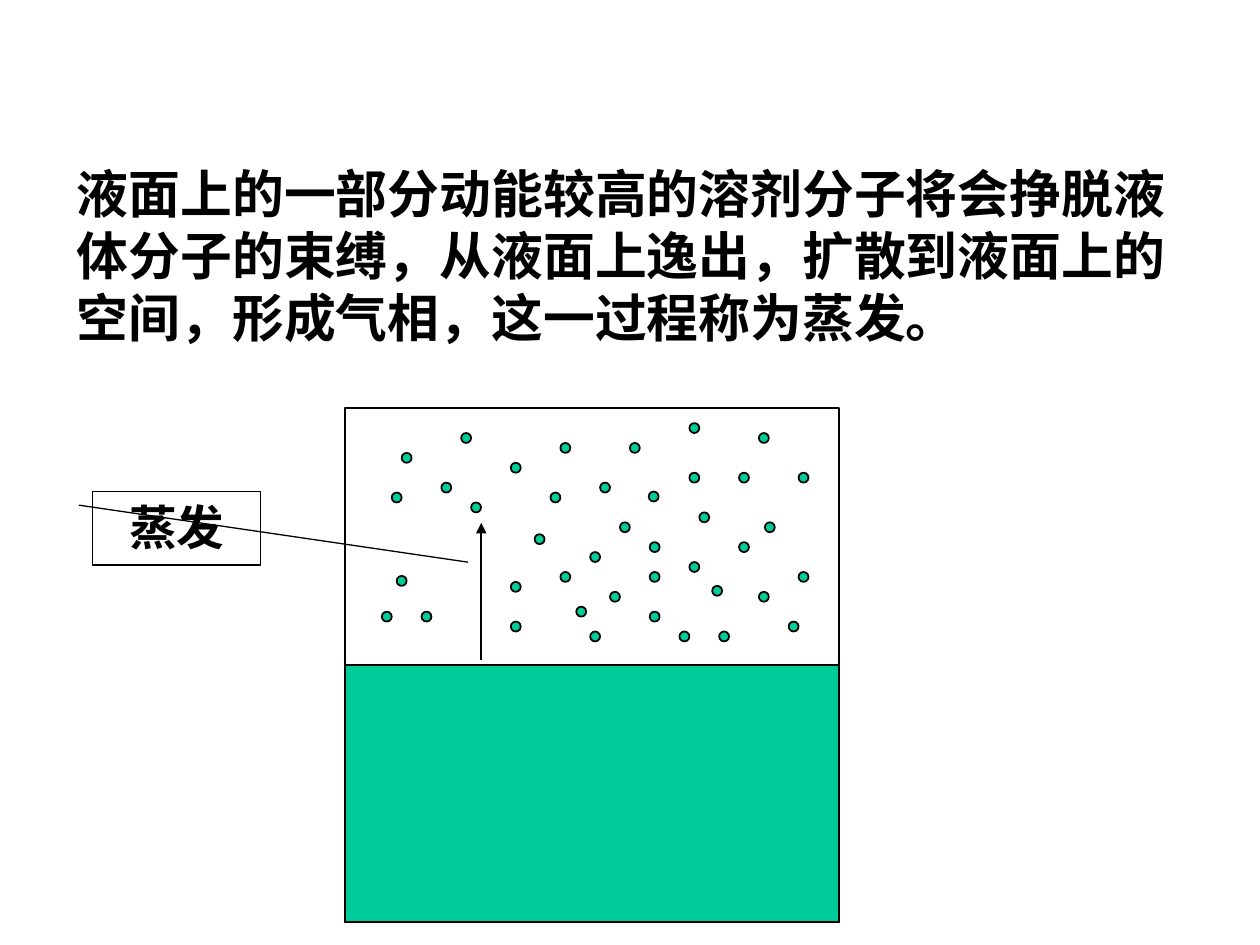
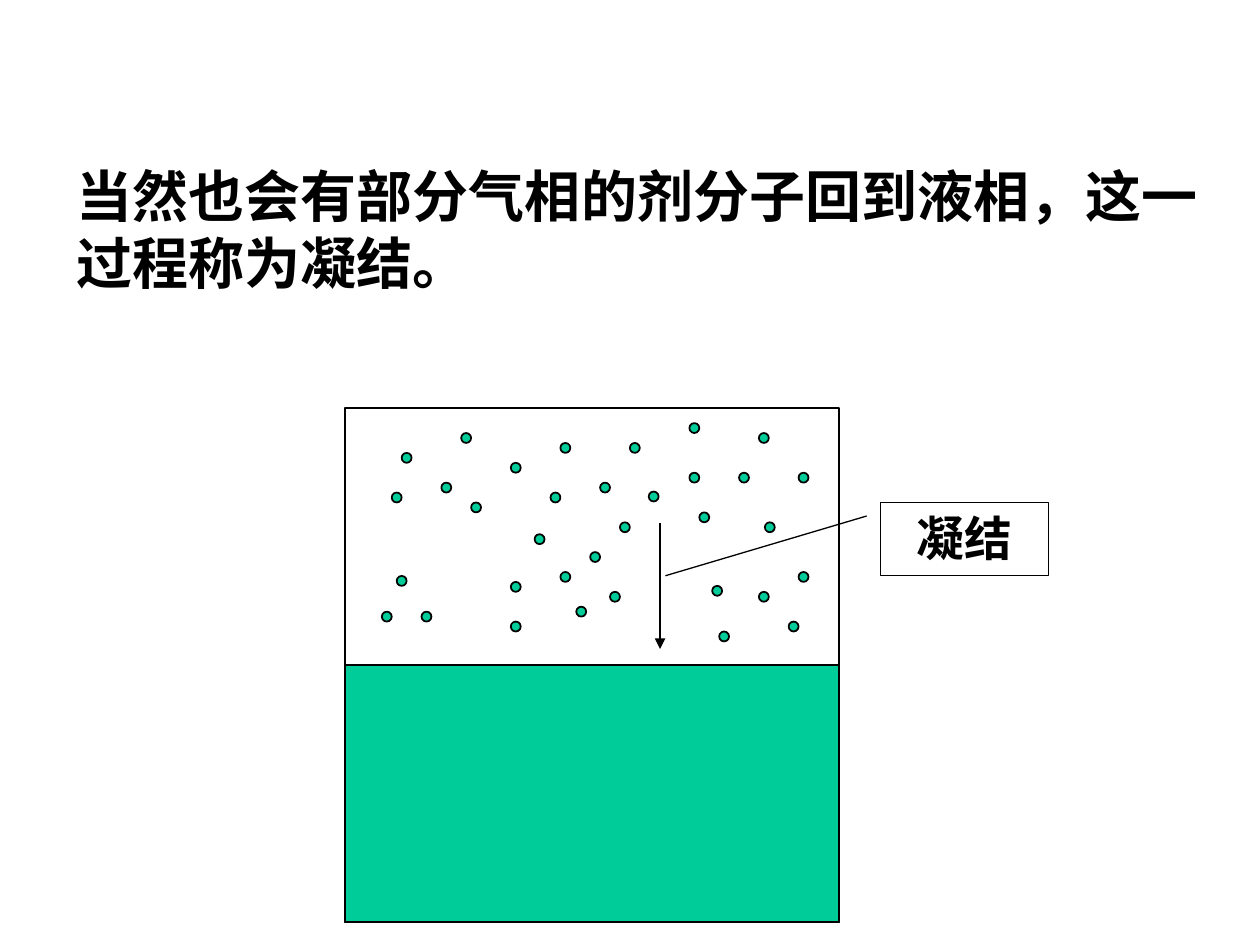
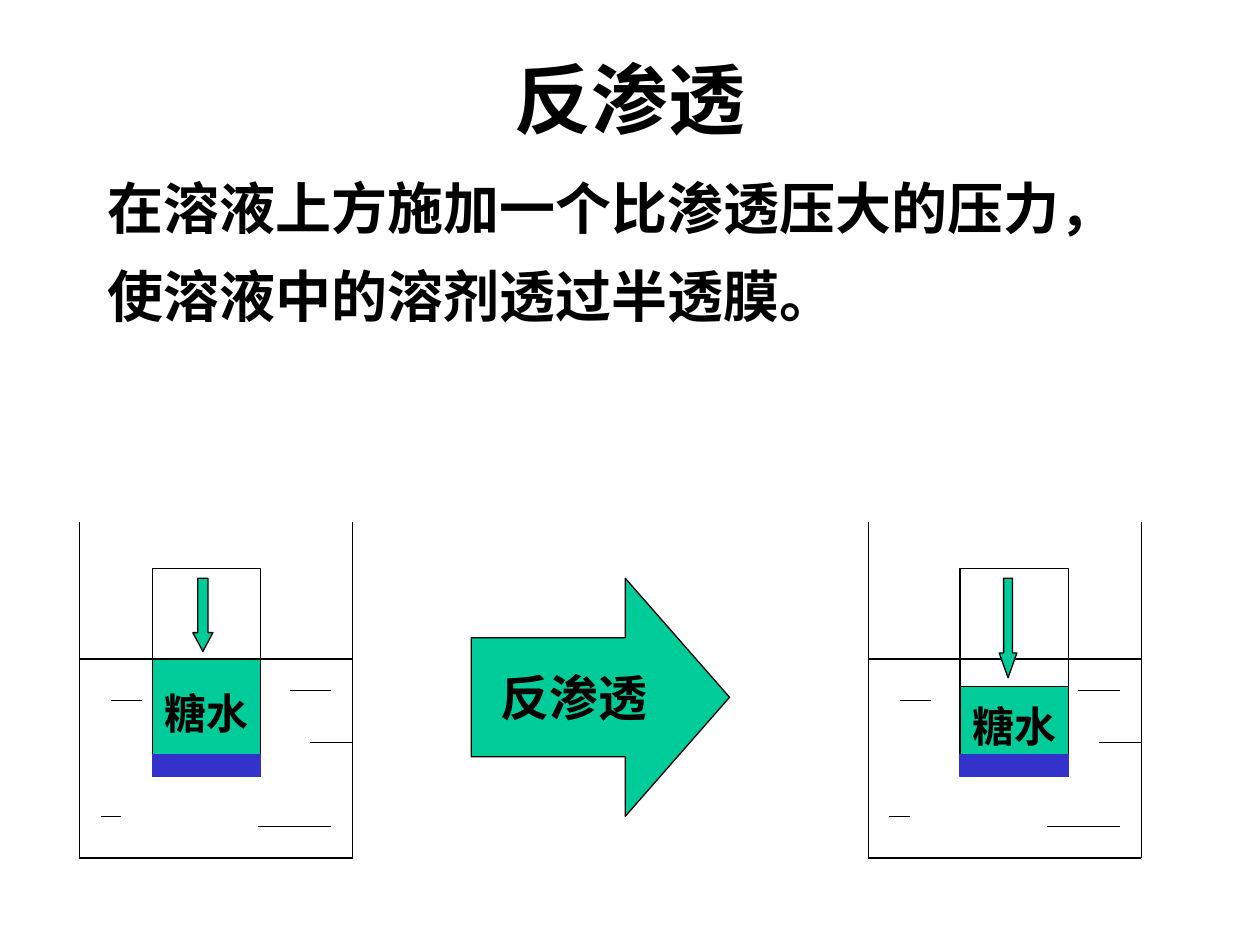
"""Build three slides on evaporation, condensation and reverse osmosis."""
from pptx import Presentation
from pptx.dml.color import RGBColor
from pptx.enum.shapes import MSO_CONNECTOR, MSO_SHAPE
from pptx.enum.text import MSO_ANCHOR, MSO_AUTO_SIZE, PP_ALIGN
from pptx.oxml.ns import qn
from pptx.util import Pt
from lxml.etree import SubElement

BLACK = RGBColor(0x00, 0x00, 0x00)
GREEN = RGBColor(0x00, 0xCC, 0x99)
BLUE = RGBColor(0x33, 0x33, 0xCC)
FONT = "Times New Roman"

GRID_LEFT, GRID_TOP, GRID_STEP = 218.2, 241.8, 5.67
MOLECULES = [
    (9, 8), (15.4, 11.2), (26.9, 6.9), (19.6, 18.5), (33.3, 16.4), (1.5, 15.4),
    (38.6, 10), (2, 3), (18, 2), (38, 1), (31, 0), (31, 5), (38, 17), (41, 20),
    (13, 20), (21, 13), (4, 19), (13, 16), (1, 7), (8, 1), (17, 7), (25, 2),
    (32, 9), (42, 5), (42, 15), (0, 19), (23, 17), (34, 21), (22, 6), (13, 4),
    (6, 6), (18, 15), (36, 5), (24, 10),
]
EXTRA_MOLECULES = [(27, 12), (27, 15), (27, 19), (21, 21), (31, 14), (36, 12), (30, 21)]

BEAKER_TOP, BEAKER_WIDTH, BEAKER_HEIGHT, WATER_DEPTH = 298.1, 156.2, 192.2, 78.5
RIPPLES = [
    (12.2, 23.8, 168.5), (18, 36, 102.2), (120.2, 144, 96.5),
    (131.8, BEAKER_WIDTH, 126), (102.2, 144, 174.2),
]
TUBE_TOP, TUBE_WIDTH, TUBE_HEIGHT = 324.7, 61.9, 118.8
MEMBRANE_TOP, MEMBRANE_HEIGHT, SYRUP_BOTTOM = 431.3, 12.2, 437.4


class Deck:
    """Hold the shared style and the current slide."""

    def __init__(self):
        self.presentation = Presentation()
        self.presentation.slide_width = Pt(720)
        self.presentation.slide_height = Pt(540)
        self.slide = None

    def new_slide(self):
        """Add a title-and-content slide."""
        self.slide = self.presentation.slides.add_slide(self.presentation.slide_layouts[1])

    def set_text(self, shape, text, size, align, anchor, line_spacing=1.0):
        """Put one bold paragraph into a shape."""
        frame = shape.text_frame
        frame.auto_size = MSO_AUTO_SIZE.NONE
        frame.vertical_anchor = anchor
        frame.text = text
        paragraph = frame.paragraphs[0]
        properties = paragraph._p.get_or_add_pPr()
        properties.set("marL", "0")
        properties.set("indent", "0")
        paragraph.alignment = align
        paragraph.line_spacing = line_spacing
        paragraph.space_before = Pt(0)
        SubElement(properties, qn("a:buNone"))
        font = paragraph.font
        font.name, font.size, font.bold = FONT, Pt(size), True
        font.color.rgb = BLACK

    def place(self, shape, left, top, width, height):
        """Move and size a placeholder."""
        shape.left, shape.top = Pt(left), Pt(top)
        shape.width, shape.height = Pt(width), Pt(height)

    def title(self, text=None):
        """Fill the title, or remove it when there is no text."""
        shape = self.slide.shapes.title
        if text is None:
            shape._element.getparent().remove(shape._element)
            return
        self.place(shape, 54, 26, 612, 60)
        self.set_text(shape, text, 44, PP_ALIGN.CENTER, MSO_ANCHOR.MIDDLE)

    def body(self, text, left, top, width, height, size, line_spacing=1.0):
        """Fill the body placeholder."""
        shape = self.slide.placeholders[1]
        self.place(shape, left, top, width, height)
        self.set_text(shape, text, size, PP_ALIGN.LEFT, MSO_ANCHOR.TOP, line_spacing)

    def shape(self, kind, left, top, width, height, fill=None, line=BLACK, weight=0.75, adjustments=()):
        """Add a preset shape with a flat fill and outline."""
        shape = self.slide.shapes.add_shape(kind, Pt(left), Pt(top), Pt(width), Pt(height))
        for index, value in enumerate(adjustments):
            shape.adjustments[index] = value
        if fill is None:
            shape.fill.background()
        else:
            shape.fill.solid()
            shape.fill.fore_color.rgb = fill
        shape.line.color.rgb = line
        shape.line.width = Pt(weight)
        shape.shadow.inherit = False
        return shape

    def label(self, shape, text, size, anchor=MSO_ANCHOR.MIDDLE, wrap=False):
        """Set centred text on a shape."""
        self.set_text(shape, text, size, PP_ALIGN.CENTER, anchor)
        shape.text_frame.word_wrap = wrap

    def line(self, start_x, start_y, end_x, end_y, weight=0.75, arrow=False):
        """Draw a straight line, with an arrowhead at its end if asked."""
        connector = self.slide.shapes.add_connector(
            MSO_CONNECTOR.STRAIGHT, Pt(start_x), Pt(start_y), Pt(end_x), Pt(end_y))
        connector.line.color.rgb = BLACK
        connector.line.width = Pt(weight)
        properties = connector._element.spPr
        if arrow:
            SubElement(properties.find(qn("a:ln")), qn("a:tailEnd"), type="triangle")
        SubElement(properties, qn("a:effectLst"))

    def vessel(self, molecules):
        """Draw the half-filled vessel and the molecules above the liquid."""
        left, top, width, height = 197.3, 233.3, 282.2, 293.8
        self.shape(MSO_SHAPE.RECTANGLE, left, top, width, height, weight=1)
        self.shape(MSO_SHAPE.RECTANGLE, left, top + height / 2, width, height / 2, GREEN, weight=1)
        for column, row in molecules:
            self.shape(MSO_SHAPE.OVAL, GRID_LEFT + column * GRID_STEP,
                       GRID_TOP + row * GRID_STEP, GRID_STEP, GRID_STEP, GREEN, weight=1)

    def callout(self, text, left, top, adjustments):
        """Draw a bordered callout with its leader line."""
        shape = self.shape(MSO_SHAPE.LINE_CALLOUT_1, left, top, 96, 42, adjustments=adjustments)
        self.label(shape, text, 27.2, MSO_ANCHOR.TOP, wrap=True)

    def beaker(self, left):
        """Draw an open beaker of water."""
        right, bottom = left + BEAKER_WIDTH, BEAKER_TOP + BEAKER_HEIGHT
        for wall in (left, right):
            self.line(wall, BEAKER_TOP, wall, bottom)
        for level in (bottom, BEAKER_TOP + WATER_DEPTH):
            self.line(left, level, right, level)
        for start, end, depth in RIPPLES:
            self.line(left + start, BEAKER_TOP + depth, left + end, BEAKER_TOP + depth)

    def tube(self, left, syrup_top):
        """Draw a tube of sugar water closed by a membrane."""
        syrup = self.shape(MSO_SHAPE.RECTANGLE, left, syrup_top, TUBE_WIDTH,
                           SYRUP_BOTTOM - syrup_top, GREEN)
        self.label(syrup, "糖水", 24)
        self.shape(MSO_SHAPE.RECTANGLE, left, TUBE_TOP, TUBE_WIDTH, TUBE_HEIGHT)
        self.shape(MSO_SHAPE.RECTANGLE, left, MEMBRANE_TOP, TUBE_WIDTH, MEMBRANE_HEIGHT, BLUE, BLUE)

    def pressure(self, left, width, height, head):
        """Draw the arrow that presses on the sugar water."""
        self.shape(MSO_SHAPE.DOWN_ARROW, left, 330.4, width, height, GREEN, adjustments=(0.5, head))


def main():
    """Build and save the presentation."""
    deck = Deck()

    deck.new_slide()
    deck.title()
    deck.body("液面上的一部分动能较高的溶剂分子将会挣脱液体分子的束缚，从液面上逸出，扩散到液面上的空间，形成气相，这一过程称为蒸发。",
              36.7, 88.6, 657.4, 122.4, 29.6)
    deck.vessel(MOLECULES + EXTRA_MOLECULES)
    deck.line(275, 377.3, 275, 298.8, weight=1, arrow=True)
    deck.callout("蒸发", 53, 280.8, (0.188, -0.083, 0.964, 2.234))

    deck.new_slide()
    deck.title()
    deck.body("当然也会有部分气相的剂分子回到液相，这一过程称为凝结。",
              36.7, 88.6, 657.4, 84.2, 32)
    deck.vessel(MOLECULES)
    deck.line(377.2, 298.8, 377.2, 370.8, arrow=True)
    deck.callout("凝结", 503.2, 287, (0.188, -0.083, 1, -1.281))

    deck.new_slide()
    deck.title("反渗透")
    deck.body("在溶液上方施加一个比渗透压大的压力，使溶液中的溶剂透过半透膜。",
              54, 84.2, 612, 107.3, 32, line_spacing=1.3)
    deck.beaker(45.4)
    arrow = deck.shape(MSO_SHAPE.RIGHT_ARROW, 269.3, 330.4, 147.6, 136.1, GREEN,
                       adjustments=(0.5, 0.438))
    deck.label(arrow, "反渗透", 28)
    deck.beaker(496.1)
    deck.tube(87.1, 376.6)
    deck.tube(548.6, 392.4)
    deck.pressure(110.2, 11.5, 41.8, 0.93)
    deck.pressure(571, 10.1, 56.9, 1.402)

    deck.presentation.save("out.pptx")


if __name__ == "__main__":
    main()
